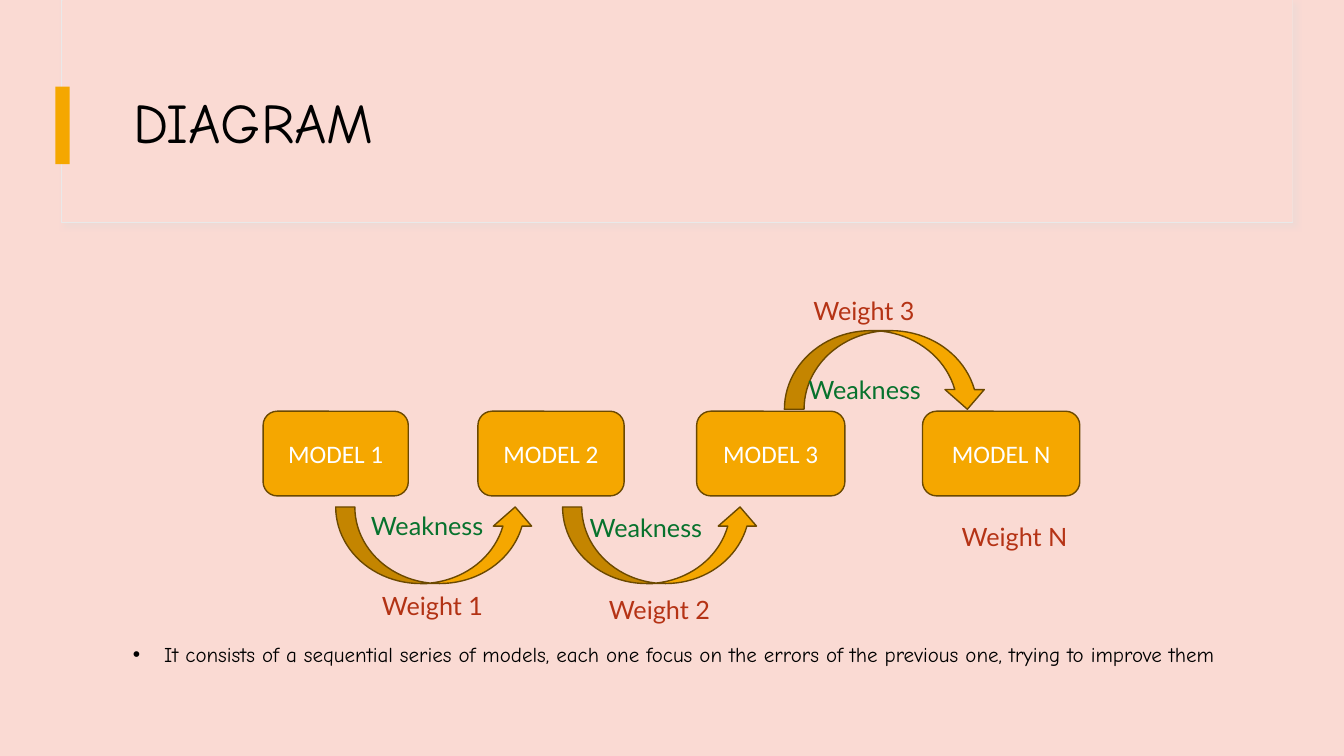
from lxml.etree import SubElement
from pptx import Presentation
from pptx.dml.color import RGBColor
from pptx.enum.shapes import MSO_SHAPE
from pptx.enum.text import MSO_ANCHOR, PP_ALIGN
from pptx.oxml import parse_xml
from pptx.oxml.ns import nsdecls, qn
from pptx.util import Inches, Pt

PINK, AMBER, BROWN = "FADAD3", "F5A700", "6B4900"
RED, GREEN = "B53315", "07722D"

deck = Presentation()
deck.slide_width, deck.slide_height = Inches(13.33), Inches(7.5)
page = deck.slides.add_slide(deck.slide_layouts[5])
page.background.fill.solid()
page.background.fill.fore_color.rgb = RGBColor.from_string(PINK)


def add_box(kind, place, fill, line=None, weight=1):
    box = page.shapes.add_shape(kind, *map(Inches, place))
    box.shadow.inherit = False
    box.fill.solid()
    box.fill.fore_color.rgb = RGBColor.from_string(fill)
    if line:
        box.line.color.rgb = RGBColor.from_string(line)
        box.line.width = Pt(weight)
    else:
        box.line.fill.background()
    return box


def write(box, words, size, font, color, align=PP_ALIGN.LEFT, anchor=MSO_ANCHOR.TOP):
    box.text_frame.word_wrap = True
    box.text_frame.vertical_anchor = anchor
    para = box.text_frame.paragraphs[0]
    para.alignment = align
    span = para.add_run()
    span.text = words
    span.font.size = Pt(size)
    span.font.name = font
    span.font.color.rgb = RGBColor.from_string(color)
    return para


# Header panel with a soft shadow, and the accent bar
panel = add_box(MSO_SHAPE.RECTANGLE, (0.61, 0, 12.21, 2.21), PINK, "E9E9E9", 0.75)
effects = panel.element.spPr.find(qn("a:effectLst"))
effects.append(parse_xml(
    f'<a:outerShdw {nsdecls("a")} blurRad="{Pt(4)}" dist="{Pt(3)}" dir="2700000">'
    '<a:srgbClr val="D9D9D9"><a:alpha val="30000"/></a:srgbClr></a:outerShdw>'))
add_box(MSO_SHAPE.RECTANGLE, (0.62, 0, 12.2, 2.2), PINK)
add_box(MSO_SHAPE.RECTANGLE, (0.55, 0.86, 0.14, 0.77), AMBER)

# Title, brought in front of the panel
title = page.shapes.title
title.left, title.top, title.width, title.height = map(Inches, (1.22, 0.6, 11.12, 1.29))
write(title, "DIAGRAM", 40, "Comic Neue", "000000", anchor=MSO_ANCHOR.MIDDLE).line_spacing = 0.9
title.element.getparent().append(title.element)

# Row of models
for name, left, width in [("1", 2.61, 1.44), ("2", 4.74, 1.45),
                          ("3", 6.91, 1.47), ("N", 9.15, 1.56)]:
    model = add_box(MSO_SHAPE.ROUNDED_RECTANGLE, (left, 4.08, width, 0.84), AMBER, BROWN)
    write(model, f"MODEL {name}", 18, "Calibri", "FFFFFF", PP_ALIGN.CENTER, MSO_ANCHOR.MIDDLE)

# Curved arrows from each model to the next
for kind, place in [(MSO_SHAPE.CURVED_UP_ARROW, (3.33, 5.03, 1.97, 0.76)),
                    (MSO_SHAPE.CURVED_UP_ARROW, (5.58, 5.03, 1.95, 0.76)),
                    (MSO_SHAPE.CURVED_DOWN_ARROW, (7.78, 3.28, 2.01, 0.78))]:
    add_box(kind, place, AMBER, BROWN)

# Labels of the arrows
for words, left, top, color in [("Weight 1", 3.69, 5.81, "B23214"), ("Weight 2", 5.94, 5.85, RED),
                                ("Weight 3", 7.97, 2.88, RED), ("Weight N", 9.44, 5.12, RED),
                                ("Weakness", 3.58, 5.01, GREEN), ("Weakness", 5.75, 5.03, GREEN),
                                ("Weakness", 7.92, 3.66, GREEN)]:
    label = page.shapes.add_textbox(Inches(left), Inches(top), Inches(1.5), Inches(0.4))
    write(label, words, 18, "Lato", color)

# Bulleted explanation
note = page.shapes.add_textbox(Inches(1.22), Inches(6.23), Inches(11.11), Inches(0.5))
para = write(note, "It consists of a sequential series of models, each one focus on the errors "
             "of the previous one, trying to improve them", 15, "Comic Neue", "000000",
             anchor=MSO_ANCHOR.MIDDLE)
para.line_spacing = 1.1
props = para._p.get_or_add_pPr()
props.set("marL", str(Inches(0.31)))
props.set("indent", str(-Inches(0.31)))
SubElement(props, qn("a:buFont"), typeface="Arial")
SubElement(props, qn("a:buChar"), char="•")

deck.save("out.pptx")
